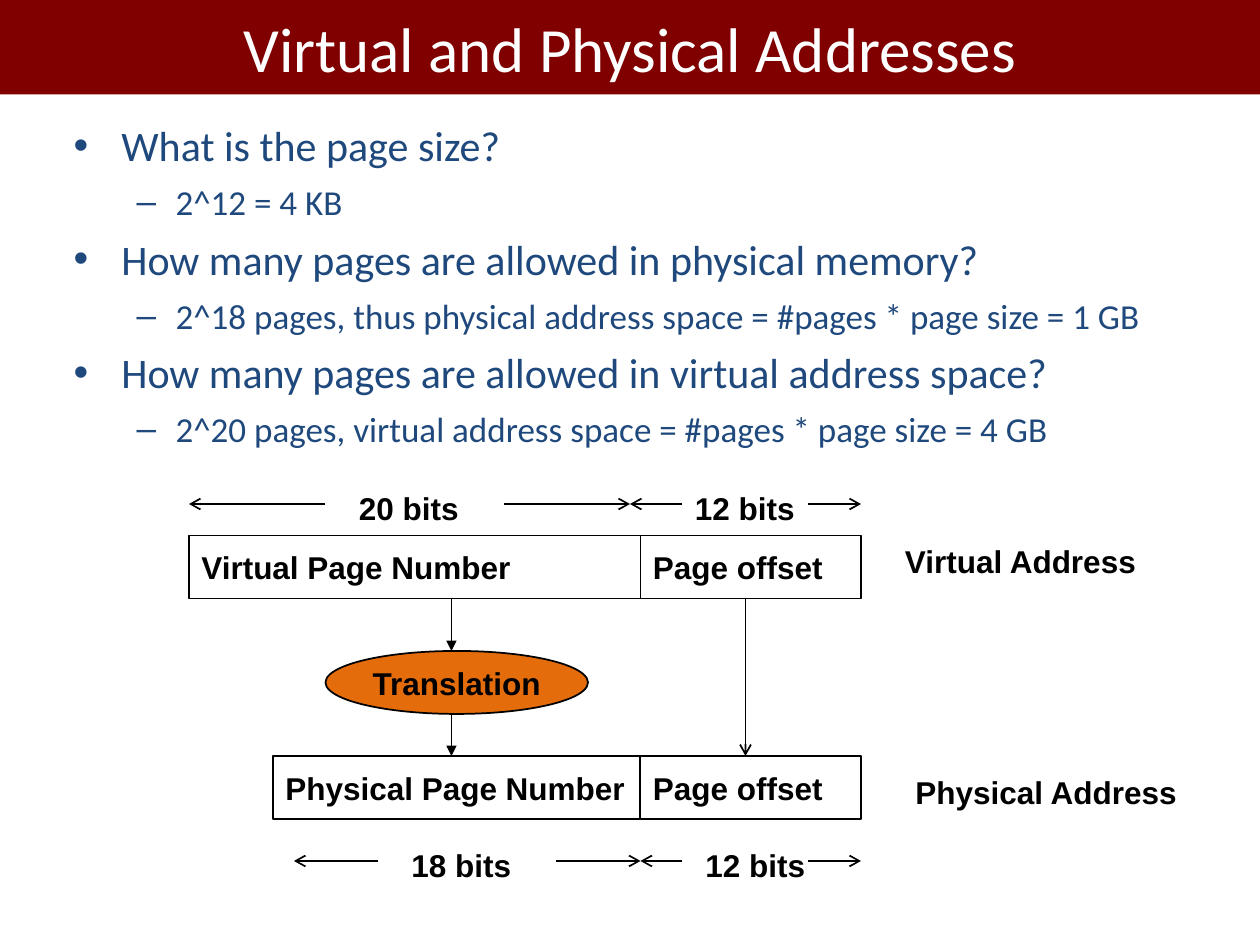
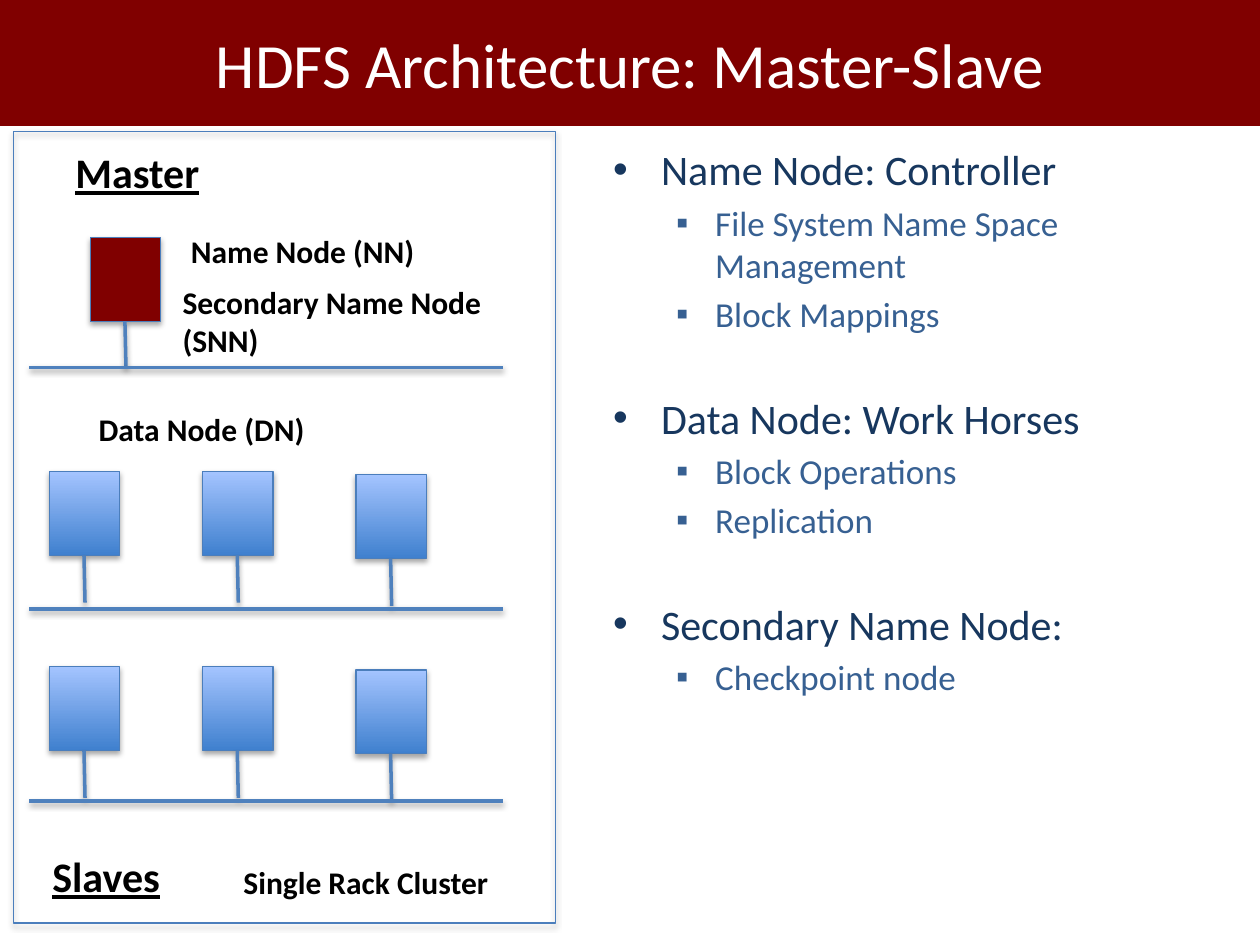
"""Build two lecture slides: page addressing and the HDFS layout."""
import lxml.etree
import pptx
import pptx.dml.color
import pptx.enum.shapes
import pptx.enum.text
import pptx.oxml.ns
import pptx.util

qn = pptx.oxml.ns.qn
add = lxml.etree.SubElement
KIND = pptx.enum.shapes.MSO_SHAPE
ALIGN = pptx.enum.text.PP_ALIGN
ANCHOR = pptx.enum.text.MSO_ANCHOR
MAROON, BLACK, WHITE = "800000", "000000", "FFFFFF"
NAVY, DARK, MID = "1F497D", "17375E", "376092"
EDGE, RAIL = "4B7EBC", "4F81BD"
INDENT = [(0.38, -0.38), (0.81, -0.31)]


def ink(code):
    """Turn a hex string into a colour."""
    return pptx.dml.color.RGBColor.from_string(code)


def write(frame, text, size=18, color=BLACK, face="Calibri", bold=False,
          under=False, align=None, level=0, mark=None, gap=0):
    """Add one formatted paragraph to a text frame."""
    para = frame.add_paragraph() if frame.text else frame.paragraphs[0]
    para.level = level
    if mark:
        props = para._p.get_or_add_pPr()
        left, hang = INDENT[level]
        props.set("marL", str(pptx.util.Inches(left)))
        props.set("indent", str(pptx.util.Inches(hang)))
        add(props, qn("a:buFont"), typeface="Arial")
        add(props, qn("a:buChar"), char=mark)
    para.space_before = pptx.util.Pt(gap)
    para.alignment = align
    run = para.add_run()
    run.text = text
    run.font.size = pptx.util.Pt(size)
    run.font.name = face
    run.font.bold = bold
    run.font.underline = under
    run.font.color.rgb = ink(color)


deck = pptx.Presentation()
deck.slide_width = pptx.util.Inches(10)
deck.slide_height = pptx.util.Inches(7.5)
cell = deck.slide_width / 120

# Each list item: text, level, space before
pages = [
    ("Virtual and Physical Addresses", 9, (5.8, 10.8, 107, 33), "•–", (NAVY, NAVY), [
        ("What is the page size?", 0, 0),
        ("2^12 = 4 KB", 1, 6),
        ("How many pages are allowed in physical memory?", 0, 6),
        ("2^18 pages, thus physical address space = #pages * page size = 1 GB", 1, 6),
        ("How many pages are allowed in virtual address space?", 0, 6),
        ("2^20 pages, virtual address space = #pages * page size = 4 GB", 1, 6)]),
    ("HDFS Architecture: Master-Slave", 12, (57.2, 13.1, 61.1, 70.4), "•▪", (DARK, MID), [
        ("Name Node: Controller", 0, 0),
        ("File System Name Space Management", 1, 4),
        ("Block Mappings", 1, 4),
        ("Data Node: Work Horses", 0, 33),
        ("Block Operations", 1, 4),
        ("Replication", 1, 4),
        ("Secondary Name Node:", 0, 33),
        ("Checkpoint node", 1, 4)]),
]
slides = []
for head, band, spot, marks, tints, items in pages:
    slide = deck.slides.add_slide(deck.slide_layouts[1])
    slides.append(slide)
    title, body = slide.placeholders
    for holder, place in ((title, (0, 0, 120, band)), (body, spot)):
        holder.left, holder.top, holder.width, holder.height = [round(n * cell) for n in place]
        holder.text_frame.auto_size = pptx.enum.text.MSO_AUTO_SIZE.NONE
    title.fill.solid()
    title.fill.fore_color.rgb = ink(MAROON)
    title.text_frame.vertical_anchor = ANCHOR.MIDDLE
    write(title.text_frame, head, size=36, color=WHITE, align=ALIGN.CENTER)
    for text, level, gap in items:
        write(body.text_frame, text, size=(24, 20)[level], color=tints[level],
              level=level, mark=marks[level], gap=gap)
paging, cluster = slides

fields = [
    ("Virtual Page Number", KIND.RECTANGLE, (18, 51, 43, 6), WHITE, ALIGN.LEFT),
    ("Page offset", KIND.RECTANGLE, (61, 51, 21, 6), WHITE, ALIGN.LEFT),
    ("Physical Page Number", KIND.RECTANGLE, (26, 72, 35, 6), WHITE, ALIGN.LEFT),
    ("Page offset", KIND.RECTANGLE, (61, 72, 21, 6), WHITE, ALIGN.LEFT),
    ("Translation", KIND.OVAL, (31, 62, 25, 6), "E46C0A", ALIGN.CENTER),
]
for text, kind, spot, fill, align in fields:
    shape = paging.shapes.add_shape(kind, *[round(n * cell) for n in spot])
    shape.shadow.inherit = False
    shape.fill.solid()
    shape.fill.fore_color.rgb = ink(fill)
    shape.line.color.rgb = ink(BLACK)
    shape.line.width = pptx.util.Pt(1)
    shape.text_frame.word_wrap = False
    shape.text_frame.vertical_anchor = ANCHOR.MIDDLE
    write(shape.text_frame, text, face="Arial", bold=True, align=align)

nodes = [(8.6, 22.6)]
for row in (44.9, 63.5):
    nodes += [(4.7 + 14.6 * col, row + (0, 0, 0.3)[col]) for col in range(3)]
blocks = [((1.3, 12.5, 51.6, 75.4), None)]
blocks += [((x, y, 6.7, 8), "grad") for x, y in nodes]
blocks[1] = (blocks[1][0], MAROON)
for spot, fill in blocks:
    shape = cluster.shapes.add_shape(KIND.RECTANGLE, *[round(n * cell) for n in spot])
    shape.shadow.inherit = False
    if fill is None:
        shape.fill.background()
    elif fill == "grad":
        shape.fill.gradient()
        shape.fill.gradient_angle = 90
        for stop, tint in zip(shape.fill.gradient_stops, ("3F80CE", "A4C4FF")):
            stop.color.rgb = ink(tint)
    else:
        shape.fill.solid()
        shape.fill.fore_color.rgb = ink(fill)
    shape.line.color.rgb = ink(EDGE)
    shape.line.width = pptx.util.Pt(0.75)

lines = [(paging, (71, 57, 71, 72), "arrow"),
         (paging, (43, 57, 43, 62), "triangle"),
         (paging, (43, 68, 43, 72), "triangle")]
for row, spans in ((48, ((31, 18), (48, 60), (65, 60), (77, 82))),
                   (82, ((36, 28), (53, 61), (65, 61), (77, 82)))):
    lines += [(paging, (start, row, end, row), "arrow") for start, end in spans]
lines += [(cluster, (x + 3.3, y + 8, x + 3.4, y + 12.5), None) for x, y in nodes]
lines += [(cluster, (2.8, row, 47.9, row), None) for row in (35, 58, 76.3)]
for slide, ends, tip in lines:
    line = slide.shapes.add_connector(pptx.enum.shapes.MSO_CONNECTOR.STRAIGHT,
                                      *[round(n * cell) for n in ends])
    line.line.color.rgb = ink(BLACK if tip else RAIL)
    line.line.width = pptx.util.Pt(1 if tip else 2)
    if tip:
        add(line.line._get_or_add_ln(), qn("a:tailEnd"), type=tip)
    add(line.element.spPr, qn("a:effectLst"))

for shape in cluster.shapes:
    if not shape.is_placeholder:
        glow = add(shape.element.spPr.find(qn("a:effectLst")), qn("a:outerShdw"),
                   blurRad="40000", dist="23000", dir="5400000", rotWithShape="0")
        tint = add(glow, qn("a:srgbClr"), val=BLACK)
        add(tint, qn("a:alpha"), val="35000")

bits = {"face": "Arial", "bold": True}
role = {"size": 24, "bold": True, "under": True}
name = {"bold": True}
labels = [
    (paging, "Virtual Address", (85, 51, 24.6, 4.8), False, bits),
    (paging, "Physical Address", (86, 73, 27.4, 4.8), False, bits),
    (paging, "20 bits", (33, 46, 11.9, 4.8), False, bits),
    (paging, "12 bits", (65, 46, 11.9, 4.8), False, bits),
    (paging, "18 bits", (38, 80, 11.9, 4.8), False, bits),
    (paging, "12 bits", (66, 80, 11.9, 4.8), False, bits),
    (cluster, "Master", (6, 13.4, 14.4, 6), False, role),
    (cluster, "Slaves", (3.8, 80.4, 12.8, 6), False, role),
    (cluster, "Name Node (NN)", (17, 21.5, 30.4, 4.8), True, name),
    (cluster, "Data Node (DN)", (8.2, 38.5, 30.4, 4.8), True, name),
    (cluster, "Secondary Name Node (SNN)", (16.2, 26.4, 38.5, 8.5), True, name),
    (cluster, "Single Rack Cluster", (22, 81.6, 30.4, 4.8), True, name),
]
for slide, text, spot, wrap, style in labels:
    box = slide.shapes.add_textbox(*[round(n * cell) for n in spot])
    box.text_frame.word_wrap = wrap
    write(box.text_frame, text, **style)

deck.save("out.pptx")
